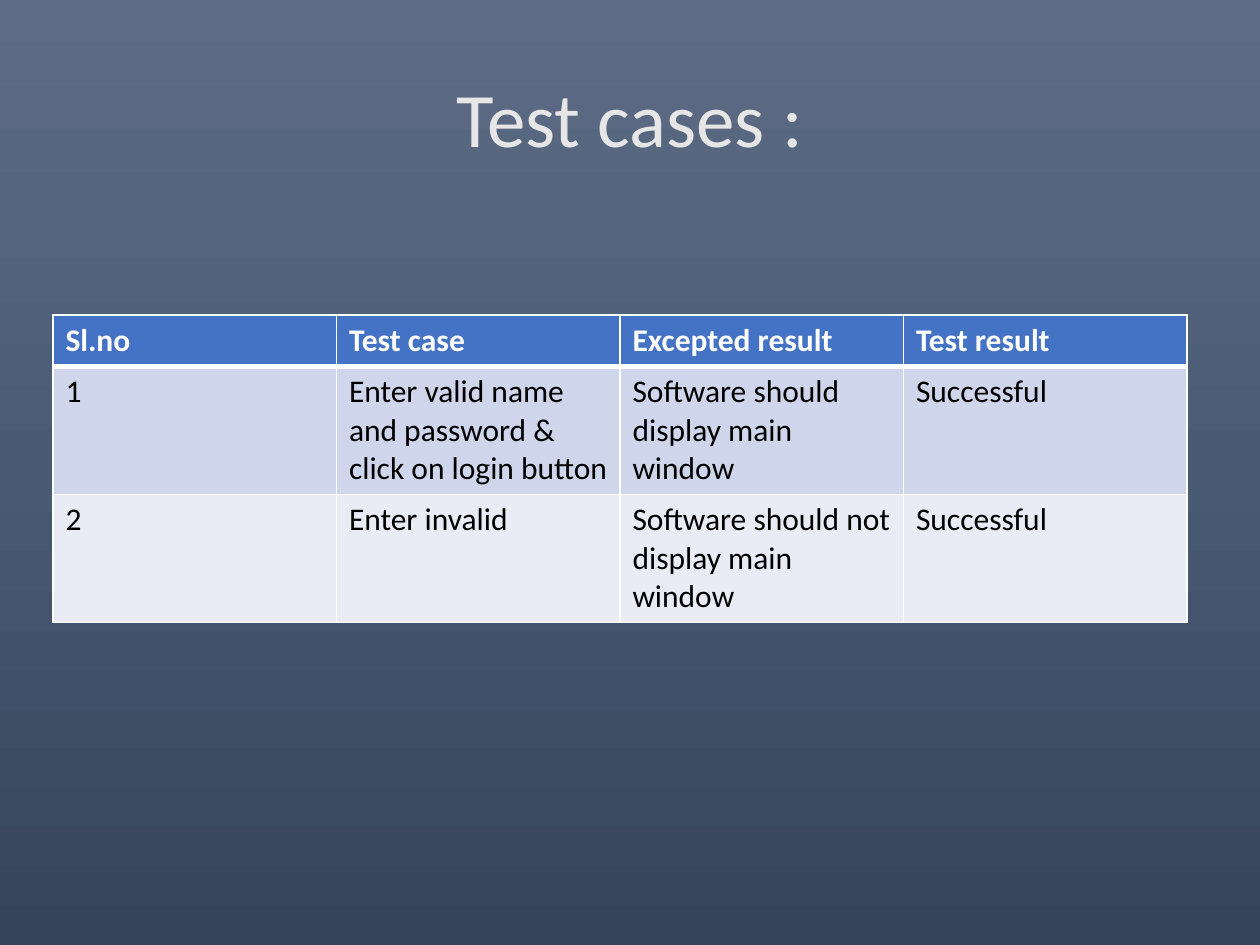
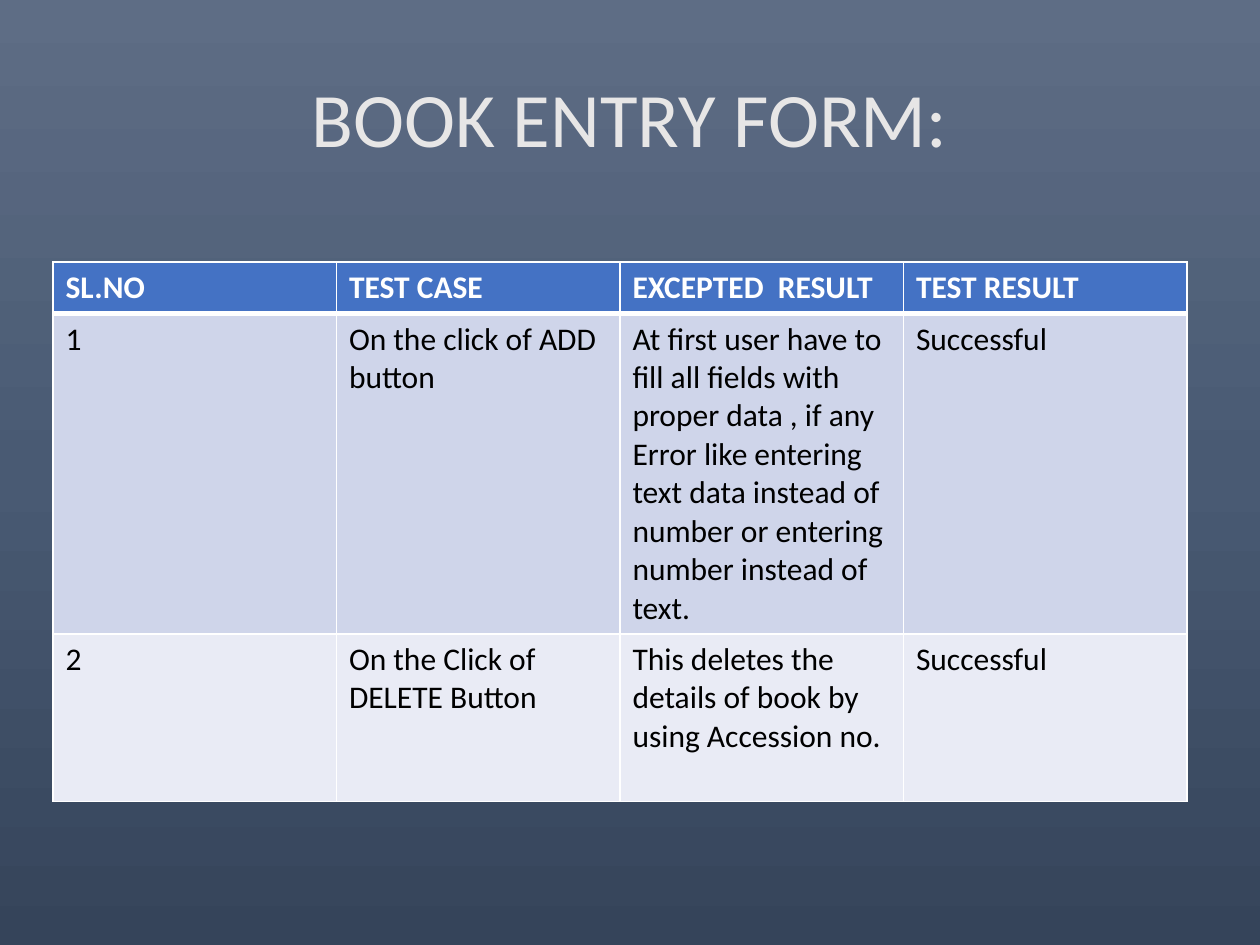
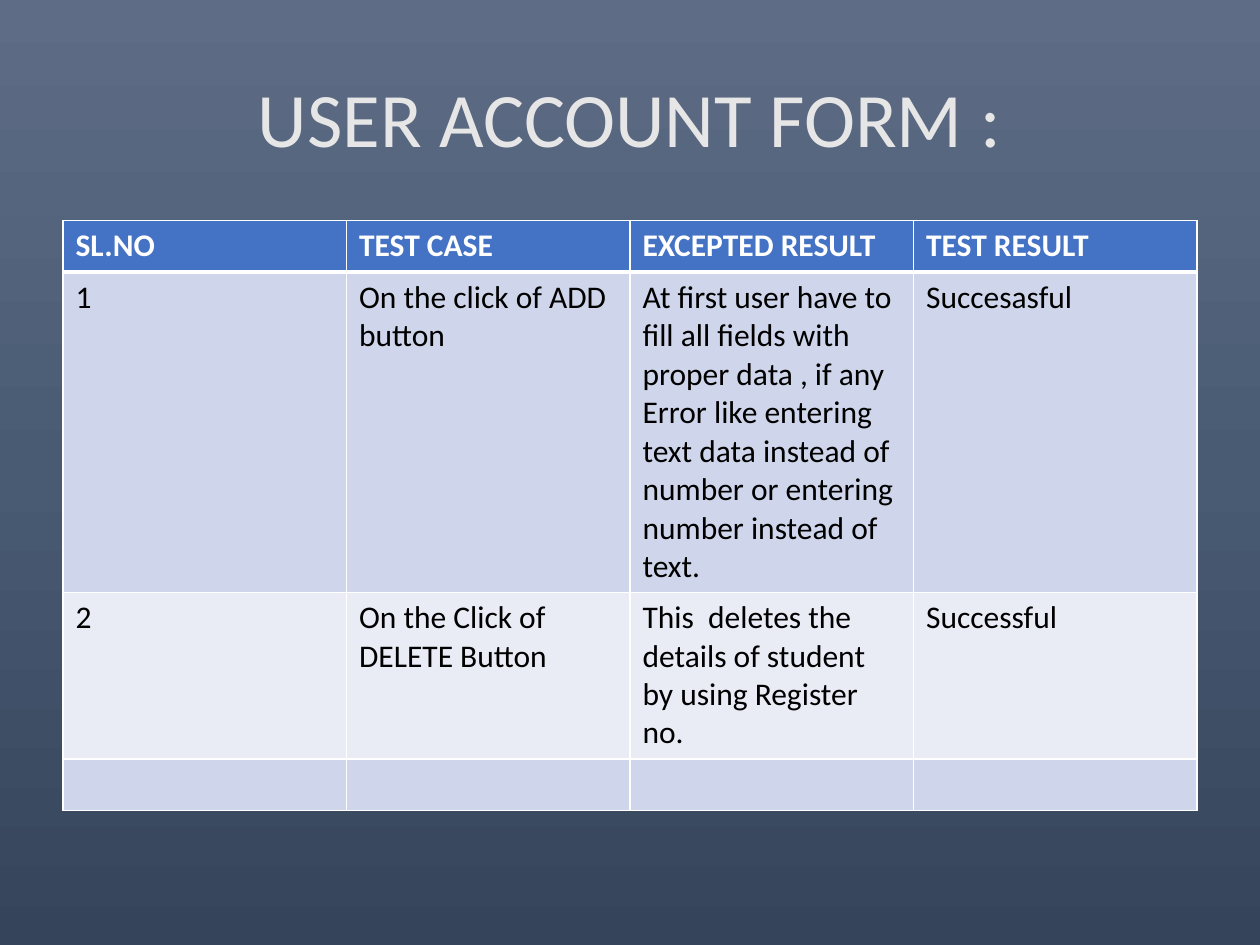
from copy import deepcopy

from lxml import etree
from pptx import Presentation
from pptx.dml.color import RGBColor
from pptx.enum.text import MSO_ANCHOR, PP_ALIGN
from pptx.oxml.ns import qn
from pptx.util import Inches, Pt

CENTER, MIDDLE = PP_ALIGN.CENTER, MSO_ANCHOR.MIDDLE

FONT = "Calibri"
TITLE_COLOR, HEADER_FILL = "E7E6E6", "4472C4"
BAND_FILLS = ("CFD5EA", "E9EBF5")
WHITE, BLACK = "FFFFFF", "000000"
BACKDROP = ((0, "5E6D85"), (0.5, "495A73"), (1, "35445A"))
TITLE_ONLY = 5
COLUMN_WIDTH, ROW_HEIGHT = 2.25, 0.41
THIN, THICK = 1, 3

UPPER_HEADER = ("SL.NO", "TEST CASE", "EXCEPTED RESULT", "TEST RESULT")
ADD_RESULT = ("At first user have to fill all fields with proper data , if any "
              "Error like entering text data instead of number or entering "
              "number instead of text.")

SLIDES = [
    {"title": "Test cases :", "at": (0.42, 2.5), "height": 2.71,
     "rows": [
         ("Sl.no", "Test case", "Excepted result", "Test result"),
         ("1", "Enter valid name and password & click on login button",
          "Software should display main window", "Successful"),
         ("2", "Enter invalid", "Software should not display main window",
          "Successful"),
     ]},
    {"title": "BOOK ENTRY FORM:", "at": (0.42, 2.08), "height": 4.24,
     "tall_rows": {2: 1.33},
     "rows": [
         ("SL.NO", "TEST CASE", "EXCEPTED  RESULT", "TEST RESULT"),
         ("1", "On the click of ADD button", ADD_RESULT, "Successful"),
         ("2", "On the Click of DELETE Button",
          "This deletes the details of book by using Accession no.",
          "Successful"),
     ]},
    {"title": "USER ACCOUNT FORM :", "at": (0.5, 1.75), "height": 4.61,
     "rows": [
         UPPER_HEADER,
         ("1", "On the click of ADD button", ADD_RESULT, "Succesasful"),
         ("2", "On the Click of DELETE Button",
          "This  deletes the details of student by using Register no.",
          "Successful"),
         ("", "", "", ""),
     ]},
]


def color(value):
    """Turn a hex string into a colour."""
    return RGBColor.from_string(value)


def paint_backdrop(master):
    """Give the master the vertical gradient that every slide shows."""
    fill = master.background.fill
    fill.gradient()
    fill.gradient_angle = 270
    stop_list = master.element.find(".//" + qn("a:gsLst"))
    while len(stop_list) < len(BACKDROP):
        stop_list.append(deepcopy(stop_list[-1]))
    for stop, (position, value) in zip(fill.gradient_stops, BACKDROP):
        stop.position = position
        stop.color.rgb = color(value)


def format_text(paragraph, size, value, bold=False):
    """Format the runs of one paragraph."""
    for span in paragraph.runs:
        span.font.name = FONT
        span.font.size = Pt(size)
        span.font.bold = bold
        span.font.color.rgb = color(value)


def add_title(page, text):
    """Place and fill the title placeholder."""
    box = page.shapes.title
    box.left, box.top = Inches(0.5), Inches(0.3)
    box.width, box.height = Inches(9), Inches(1.25)
    box.text_frame.text = text
    box.text_frame.vertical_anchor = MIDDLE
    para = box.text_frame.paragraphs[0]
    para.alignment = CENTER
    format_text(para, 44, TITLE_COLOR)


def set_borders(cell, top, bottom):
    """Draw white lines round a cell, with widths in points."""
    properties = cell._tc.get_or_add_tcPr()
    for side, width in (("L", THIN), ("R", THIN), ("T", top), ("B", bottom)):
        line = etree.SubElement(properties, qn("a:ln" + side), w=str(Pt(width)))
        fill = etree.SubElement(line, qn("a:solidFill"))
        etree.SubElement(fill, qn("a:srgbClr"), val=WHITE)


def fill_cell(cell, text, row_number):
    """Write one cell and style it by its row."""
    header = row_number == 0
    set_borders(cell, THICK if row_number == 1 else THIN,
                THICK if header else THIN)
    cell.fill.solid()
    cell.fill.fore_color.rgb = color(
        HEADER_FILL if header else BAND_FILLS[(row_number - 1) % 2])
    cell.text_frame.text = text
    format_text(cell.text_frame.paragraphs[0], 18,
                WHITE if header else BLACK, header)


def add_test_table(page, content):
    """Add the table of test cases."""
    rows = content["rows"]
    left, top = content["at"]
    column_count = len(rows[0])
    frame = page.shapes.add_table(
        len(rows), column_count, Inches(left), Inches(top),
        Inches(COLUMN_WIDTH * column_count), Inches(content["height"]))
    tall_rows = content.get("tall_rows", {})
    for row_number, texts in enumerate(rows):
        row = frame.table.rows[row_number]
        row.height = Inches(tall_rows.get(row_number, ROW_HEIGHT))
        for cell, text in zip(row.cells, texts):
            fill_cell(cell, text, row_number)
    frame.height = Inches(content["height"])


def build():
    """Build and save the deck."""
    deck = Presentation()
    deck.slide_width, deck.slide_height = Inches(10), Inches(7.5)
    paint_backdrop(deck.slide_master)
    for content in SLIDES:
        page = deck.slides.add_slide(deck.slide_layouts[TITLE_ONLY])
        add_title(page, content["title"])
        add_test_table(page, content)
    deck.save("out.pptx")


build()
